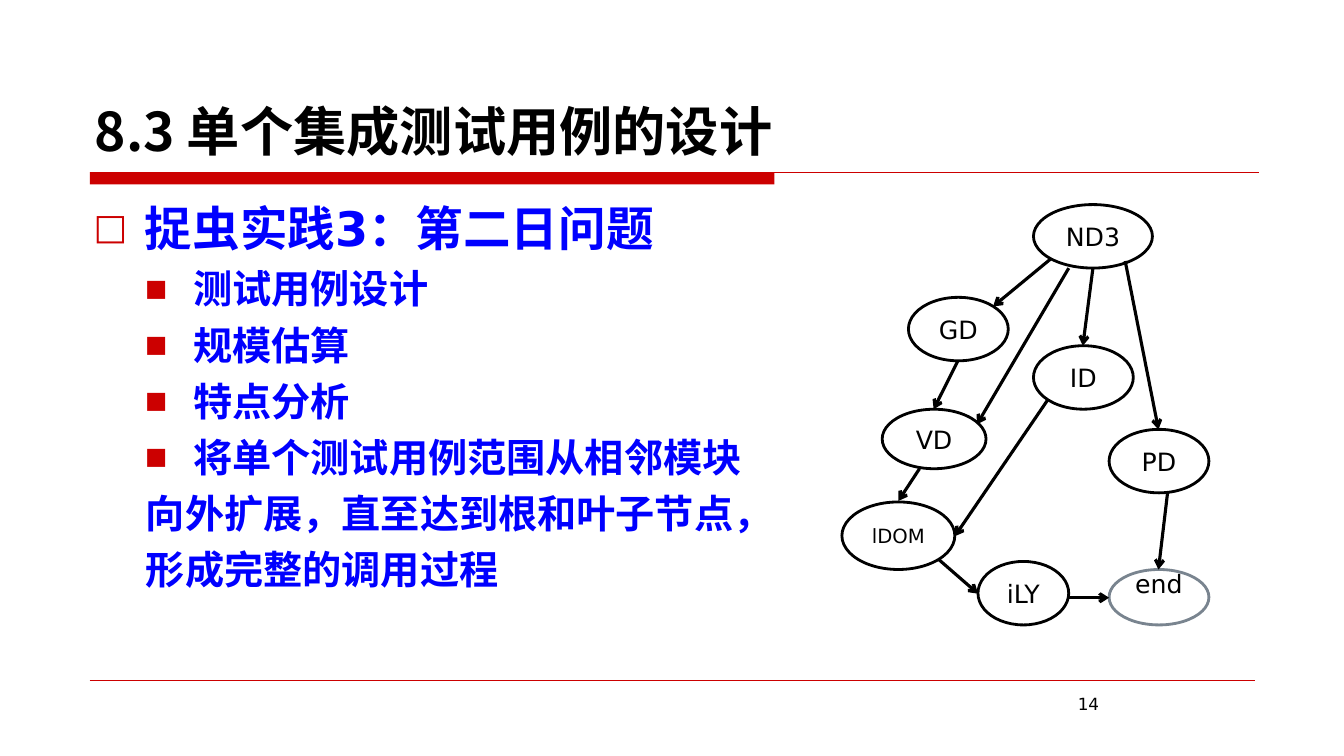
from dataclasses import dataclass

from lxml import etree
from pptx import Presentation
from pptx.dml.color import RGBColor
from pptx.enum.shapes import MSO_CONNECTOR, MSO_SHAPE
from pptx.enum.text import MSO_ANCHOR, PP_ALIGN
from pptx.oxml.ns import qn
from pptx.util import Inches, Pt

STRAIGHT = MSO_CONNECTOR.STRAIGHT
RECTANGLE, OVAL = MSO_SHAPE.RECTANGLE, MSO_SHAPE.OVAL
TOP, MIDDLE, BOTTOM = MSO_ANCHOR.TOP, MSO_ANCHOR.MIDDLE, MSO_ANCHOR.BOTTOM
LEFT, CENTER, RIGHT = PP_ALIGN.LEFT, PP_ALIGN.CENTER, PP_ALIGN.RIGHT


@dataclass(frozen=True)
class Theme:
    black: str = "000000"
    white: str = "FFFFFF"
    red: str = "CC0000"
    blue: str = "0000FF"
    gray: str = "79848F"
    title_font: str = "Noto Sans CJK SC"
    text_font: str = "DejaVu Sans"
    title_size: int = 38
    topic_size: int = 34
    point_size: int = 28
    node_size: int = 18
    small_node_size: int = 14
    number_size: int = 12


class SlideBuilder:
    def __init__(self, slide, theme):
        self.shapes = slide.shapes
        self.theme = theme

    def add_run(self, paragraph, text, size, color, bold=False, font=None):
        run = paragraph.add_run()
        run.text = text
        run.font.size = Pt(size)
        run.font.bold = bold
        run.font.color.rgb = RGBColor.from_string(color)
        run.font.name = font or self.theme.text_font
        east_asian = etree.SubElement(run.font._element, qn("a:ea"))
        east_asian.set("typeface", run.font.name)

    def text_frame(self, left, top, width, height, anchor=TOP):
        box = self.shapes.add_textbox(
            Inches(left), Inches(top), Inches(width), Inches(height))
        box.text_frame.word_wrap = True
        box.text_frame.vertical_anchor = anchor
        return box.text_frame

    def label(self, bounds, text, size, anchor=TOP, align=LEFT, **style):
        paragraph = self.text_frame(*bounds, anchor).paragraphs[0]
        paragraph.alignment = align
        self.add_run(paragraph, text, size, self.theme.black, **style)

    def outline(self, bounds, items):
        """Write (text, size, margin, indent, bullet, bullet percent) items."""
        frame = self.text_frame(*bounds)
        for number, (text, size, margin, indent, bullet, percent) in enumerate(items):
            paragraph = frame.add_paragraph() if number else frame.paragraphs[0]
            properties = paragraph._p.get_or_add_pPr()
            properties.set("marL", str(Inches(margin)))
            properties.set("indent", str(Inches(indent)))
            if number:
                paragraph.space_before = Pt(6.5)
            if bullet:
                self.bullet(properties, bullet, percent)
            self.add_run(paragraph, text, size, self.theme.blue, bold=True)

    def bullet(self, properties, character, percent):
        color = etree.SubElement(properties, qn("a:buClr"))
        etree.SubElement(color, qn("a:srgbClr")).set("val", self.theme.red)
        etree.SubElement(properties, qn("a:buSzPct")).set("val", str(percent * 1000))
        etree.SubElement(properties, qn("a:buFont")).set("typeface", self.theme.text_font)
        etree.SubElement(properties, qn("a:buChar")).set("char", character)

    def bar(self, left, top, width, height):
        bar = self.shapes.add_shape(
            RECTANGLE, Inches(left), Inches(top), Inches(width), Inches(height))
        bar.shadow.inherit = False
        bar.fill.solid()
        bar.fill.fore_color.rgb = RGBColor.from_string(self.theme.red)
        bar.line.fill.background()

    def node(self, bounds, text, size, line_color, filled=True, bottom_inset=0.05):
        oval = self.shapes.add_shape(OVAL, *(Inches(length) for length in bounds))
        oval.shadow.inherit = False
        if filled:
            oval.fill.solid()
            oval.fill.fore_color.rgb = RGBColor.from_string(self.theme.white)
        else:
            oval.fill.background()
        oval.line.color.rgb = RGBColor.from_string(line_color)
        oval.line.width = Pt(2)
        frame = oval.text_frame
        frame.word_wrap = False
        frame.vertical_anchor = MIDDLE
        frame.margin_top = 0 if bottom_inset > 0.05 else Inches(0.05)
        frame.margin_bottom = Inches(bottom_inset)
        frame.paragraphs[0].alignment = CENTER
        self.add_run(frame.paragraphs[0], text, size, self.theme.black)

    def line(self, start, end, color, width, arrow=False):
        line = self.shapes.add_connector(
            STRAIGHT, *(Inches(length) for length in (*start, *end)))
        line.line.color.rgb = RGBColor.from_string(color)
        line.line.width = Pt(width)
        if arrow:
            etree.SubElement(line.line._get_or_add_ln(), qn("a:tailEnd")).set("type", "arrow")
        etree.SubElement(line._element.spPr, qn("a:effectLst"))


def main():
    presentation = Presentation()
    presentation.slide_width = Inches(13.33)
    presentation.slide_height = Inches(7.5)
    theme = Theme()
    slide = presentation.slides.add_slide(presentation.slide_layouts[6])
    builder = SlideBuilder(slide, theme)

    builder.bar(0.89, 1.71, 6.79, 0.12)
    builder.line((0.89, 1.71), (12.49, 1.71), theme.red, 0.75)
    builder.line((0.89, 6.75), (12.45, 6.75), theme.red, 0.25)
    builder.label((8.83, 6.83, 2.17, 0.52), "14", theme.number_size, align=RIGHT)
    builder.label((0.84, 0.33, 11.67, 1.33), "8.3 单个集成测试用例的设计",
                  theme.title_size, BOTTOM, bold=True, font=theme.title_font)

    points = ("测试用例设计", "规模估算", "特点分析", "将单个测试用例范围从相邻模块")
    continuation = ("向外扩展，直至达到根和叶子节点，", "形成完整的调用过程")
    builder.outline((0.83, 1.92, 11.67, 4.67), [
        ("捉虫实践3：第二日问题", theme.topic_size, 0.51, -0.51, "□", 75),
        *((text, theme.point_size, 0.99, -0.48, "■", 60) for text in points),
        *((text, theme.point_size, 0.52, 0, None, None) for text in continuation),
    ])

    modules = {
        "ND3": (10.25, 2.03, 1.18, 0.63),
        "GD": (9.01, 2.95, 0.99, 0.63),
        "VD": (8.75, 4.06, 1.03, 0.59),
        "lDOM": (8.35, 4.98, 1.12, 0.67),
        "iLY": (9.7, 5.57, 0.9, 0.63),
        "ID": (10.25, 3.43, 0.99, 0.63),
        "PD": (11, 4.26, 0.99, 0.63),
    }
    for name, bounds in modules.items():
        size = theme.small_node_size if name == "lDOM" else theme.node_size
        builder.node(bounds, name, size, theme.black)
    builder.node((11, 5.65, 0.99, 0.55), "end", theme.node_size, theme.gray,
                 filled=False, bottom_inset=0.28)

    calls = (
        ((10.42, 2.57), (9.85, 3.04)),
        ((10.84, 2.66), (10.74, 3.43)),
        ((11.16, 2.59), (11.49, 4.26)),
        ((9.5, 3.58), (9.26, 4.06)),
        ((9.12, 4.65), (8.91, 4.97)),
        ((9.31, 5.55), (9.7, 5.89)),
        ((10.39, 3.97), (9.47, 5.32)),
        ((10.6, 2.66), (9.69, 4.21)),
        ((11.58, 4.89), (11.49, 5.65)),
        ((10.6, 5.93), (11, 5.93)),
    )
    for caller, callee in calls:
        builder.line(caller, callee, theme.black, 2.25, arrow=True)

    presentation.save("out.pptx")


if __name__ == "__main__":
    main()
